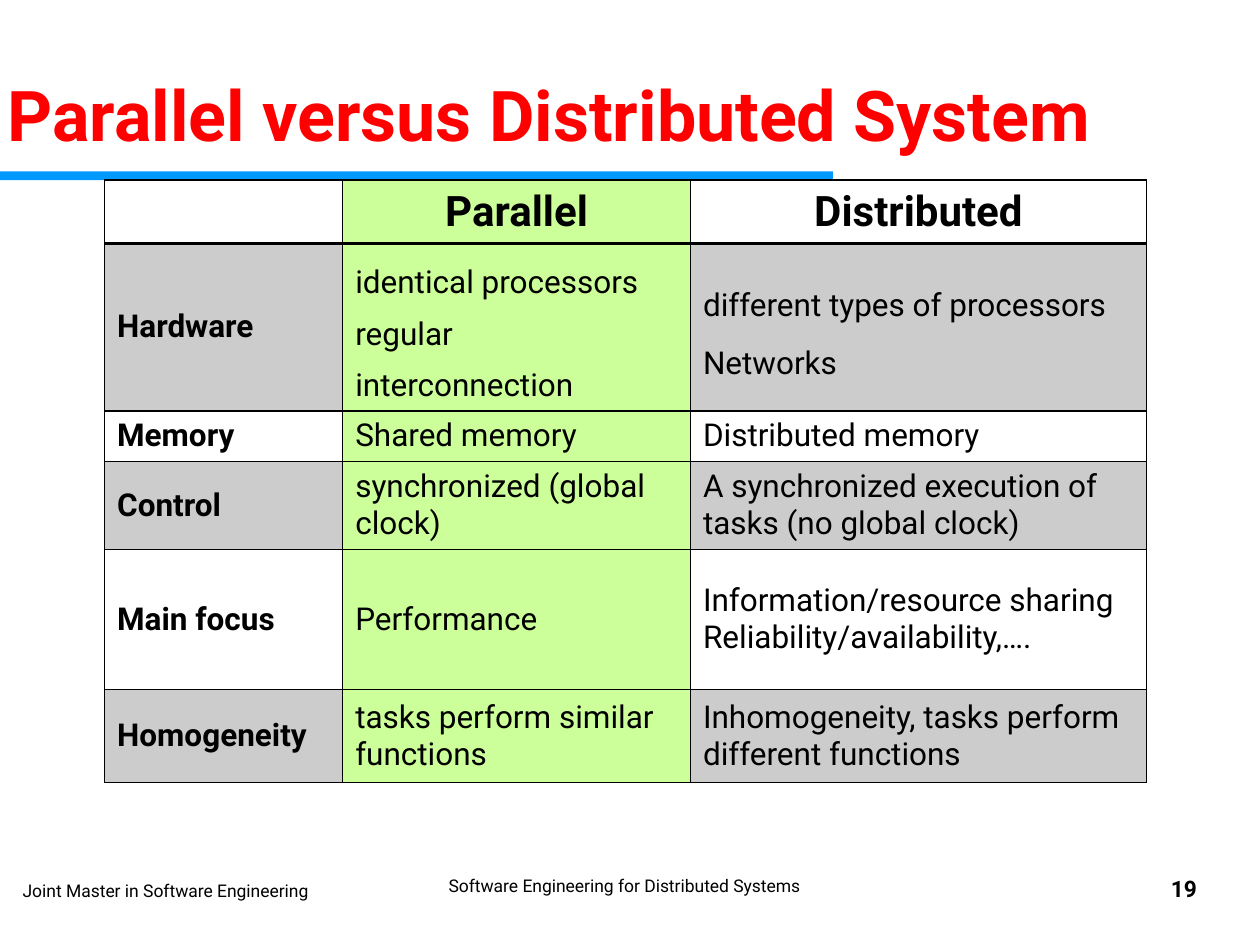
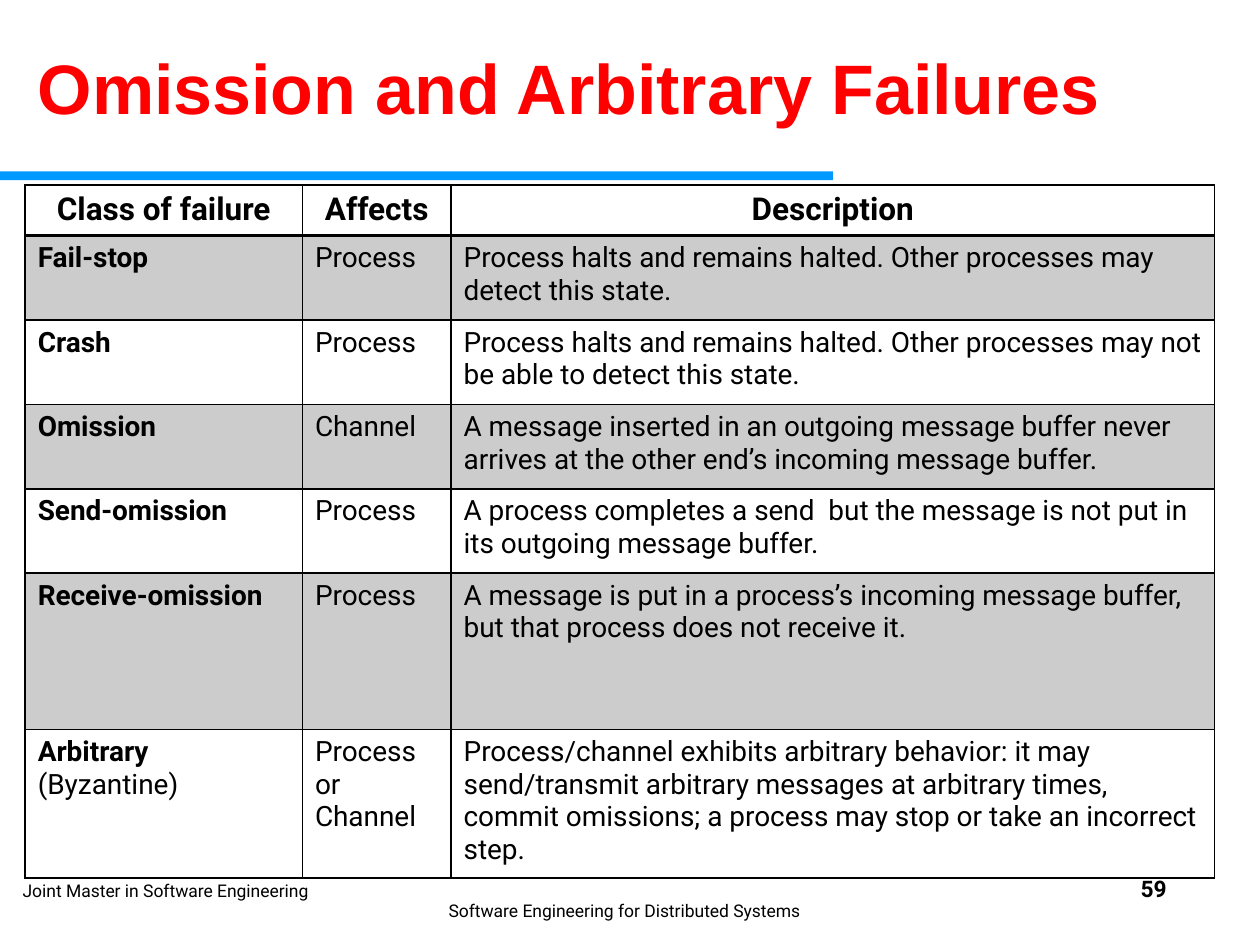
import lxml.etree
import pptx
import pptx.dml.color
import pptx.enum.shapes
import pptx.enum.text
import pptx.oxml.ns
import pptx.util

COLORS = {"title": "FF0000", "band": "0099FF", "ink": "000000", "stripe": "CCCCCC", "accent": "CCFF99"}
COLUMNS, ROWS = 100, 75
ALIGN = pptx.enum.text.PP_ALIGN
ANCHOR = pptx.enum.text.MSO_ANCHOR


def rgb(name):
    return pptx.dml.color.RGBColor.from_string(COLORS[name])


def write(frame, text, tail="", size=18, font="Roboto", color="ink", bold=False,
          align=ALIGN.LEFT, spacing=1.0, before=0):
    frame.word_wrap = True
    lines = text.split("\n")
    for index, line in enumerate(lines):
        paragraph = frame.add_paragraph() if index else frame.paragraphs[0]
        paragraph.alignment = align
        paragraph.line_spacing = spacing
        if index:
            paragraph.space_before = pptx.util.Pt(before)
        parts = [(line, bold)]
        if tail and index == len(lines) - 1:
            parts.append((tail, False))
        for words, heavy in parts:
            run = paragraph.add_run()
            run.text = words
            run.font.size = pptx.util.Pt(size)
            run.font.name = font
            run.font.bold = heavy
            run.font.color.rgb = rgb(color)


class Deck:
    def __init__(self):
        self.show = pptx.Presentation()
        self.show.slide_width = pptx.util.Inches(10)
        self.show.slide_height = pptx.util.Inches(7.5)
        self.slide = None

    def x(self, columns):
        return round(self.show.slide_width * columns / COLUMNS)

    def y(self, rows):
        return round(self.show.slide_height * rows / ROWS)

    def box(self, left, top, width, height):
        return self.x(left), self.y(top), self.x(width), self.y(height)

    def start(self, heading, place, font="Roboto"):
        self.slide = self.show.slides.add_slide(self.show.slide_layouts[5])
        title = self.slide.shapes.title
        title.left, title.top, title.width, title.height = self.box(*place)
        title.text_frame.auto_size = pptx.enum.text.MSO_AUTO_SIZE.NONE
        title.text_frame.vertical_anchor = ANCHOR.TOP
        write(title.text_frame, heading, size=40, font=font, color="title", bold=True)
        self.band()

    def band(self):
        rule = self.slide.shapes.add_shape(
            pptx.enum.shapes.MSO_SHAPE.RECTANGLE, *self.box(0, 13.6, 66.1, 0.7))
        rule.shadow.inherit = False
        rule.fill.solid()
        rule.fill.fore_color.rgb = rgb("band")
        rule.line.fill.background()

    def label(self, text, place, **style):
        frame = self.slide.shapes.add_textbox(*self.box(*place)).text_frame
        frame.margin_left = frame.margin_right = frame.margin_top = frame.margin_bottom = 0
        write(frame, text, spacing=1.01, **style)

    def footer(self, number, number_left, course_top):
        self.label("Joint Master in Software Engineering", (1.8, 69.8, 31.7, 5.2), size=10)
        self.label("Software Engineering for Distributed Systems",
                   (33.7, course_top, 31.7, 3.2), size=10, align=ALIGN.CENTER)
        self.label(number, (number_left, 69.4, 23.3, 4.1), size=13, bold=True, align=ALIGN.RIGHT)

    def border(self, cell, side, points):
        qn = pptx.oxml.ns.qn
        edge = lxml.etree.SubElement(cell._tc.get_or_add_tcPr(), qn(f"a:ln{side}"),
                                     w=str(pptx.util.Pt(points)))
        paint = lxml.etree.SubElement(edge, qn("a:solidFill"))
        lxml.etree.SubElement(paint, qn("a:srgbClr"), val=COLORS["ink"])

    def table(self, corner, widths, heights, content, head_size, body_size,
              anchor=ANCHOR.TOP, accent=None, loose=None):
        place = self.box(*corner, sum(widths), sum(heights))
        grid = self.slide.shapes.add_table(len(heights), len(widths), *place).table
        grid.first_row = grid.horz_banding = False
        for column, width in zip(grid.columns, widths):
            column.width = self.x(width)
        for row, height in zip(grid.rows, heights):
            row.height = self.y(height)
        for r, entries in enumerate(content):
            for c, entry in enumerate(entries):
                cell = grid.cell(r, c)
                cell.vertical_anchor = anchor
                for side in "LRTB":
                    heavy = (r, side) in ((0, "B"), (1, "T"))
                    self.border(cell, side, 2 if heavy else 1)
                fill = "accent" if c == accent else "stripe" if r % 2 else None
                if fill:
                    cell.fill.solid()
                    cell.fill.fore_color.rgb = rgb(fill)
                else:
                    cell.fill.background()
                text, tail = entry if isinstance(entry, tuple) else (entry, "")
                if text:
                    write(cell.text_frame, text, tail, bold=r == 0 or c == 0,
                          size=body_size if r else head_size,
                          align=ALIGN.LEFT if r else ALIGN.CENTER,
                          **(loose or {}).get((r, c), {}))


COMPARISON = [
    ("", "Parallel", "Distributed"),
    ("Hardware", "identical processors\nregular interconnection",
     "different types of processors\nNetworks"),
    ("Memory", "Shared memory", "Distributed memory"),
    ("Control", "synchronized (global clock)",
     "A synchronized execution of tasks (no global clock)"),
    ("Main focus", "Performance", "Information/resource sharing\nReliability/availability,…."),
    ("Homogeneity", "tasks perform similar functions",
     "Inhomogeneity, tasks perform different functions"),
]

FAILURES = [
    ("Class of failure", "Affects", "Description"),
    ("Fail-stop", "Process",
     "Process halts and remains halted. Other processes may detect this state."),
    ("Crash", "Process",
     "Process halts and remains halted. Other processes may not be able to detect this state."),
    ("Omission", "Channel",
     "A message inserted in an outgoing message buffer never arrives at the other end’s "
     "incoming message buffer."),
    ("Send-omission", "Process",
     "A process completes a send  but the message is not put in its outgoing message buffer."),
    ("Receive-omission", "Process",
     "A message is put in a process’s incoming message buffer, but that process does not "
     "receive it."),
    (("Arbitrary", " (Byzantine)"), "Process or Channel",
     "Process/channel exhibits arbitrary behavior: it may send/transmit arbitrary messages at "
     "arbitrary times, commit omissions; a process may stop or take an incorrect step."),
]


def main():
    deck = Deck()

    deck.start("Parallel versus Distributed System", (-0.4, 5.2, 98.9, 7.7))
    deck.table((8.3, 14.3), (18.9, 27.6, 36.2), (5, 12.2, 4, 7, 11.1, 7.4), COMPARISON,
               head_size=24, body_size=18, anchor=ANCHOR.MIDDLE, accent=1,
               loose={(1, 1): {"spacing": 1.4}, (1, 2): {"spacing": 1.4, "before": 3.6}})
    deck.footer("19", number_left=71.7, course_top=69.4)

    deck.start("Omission and Arbitrary Failures", (2, 3, 96.9, 7.7), font="Arial")
    deck.table((2, 14.7), (22, 11.8, 60.6), (4, *[6.7] * 4, 12.4, 11.8), FAILURES,
               head_size=18, body_size=16)
    deck.footer("59", number_left=69.3, course_top=71.4)

    deck.show.save("out.pptx")


if __name__ == "__main__":
    main()
